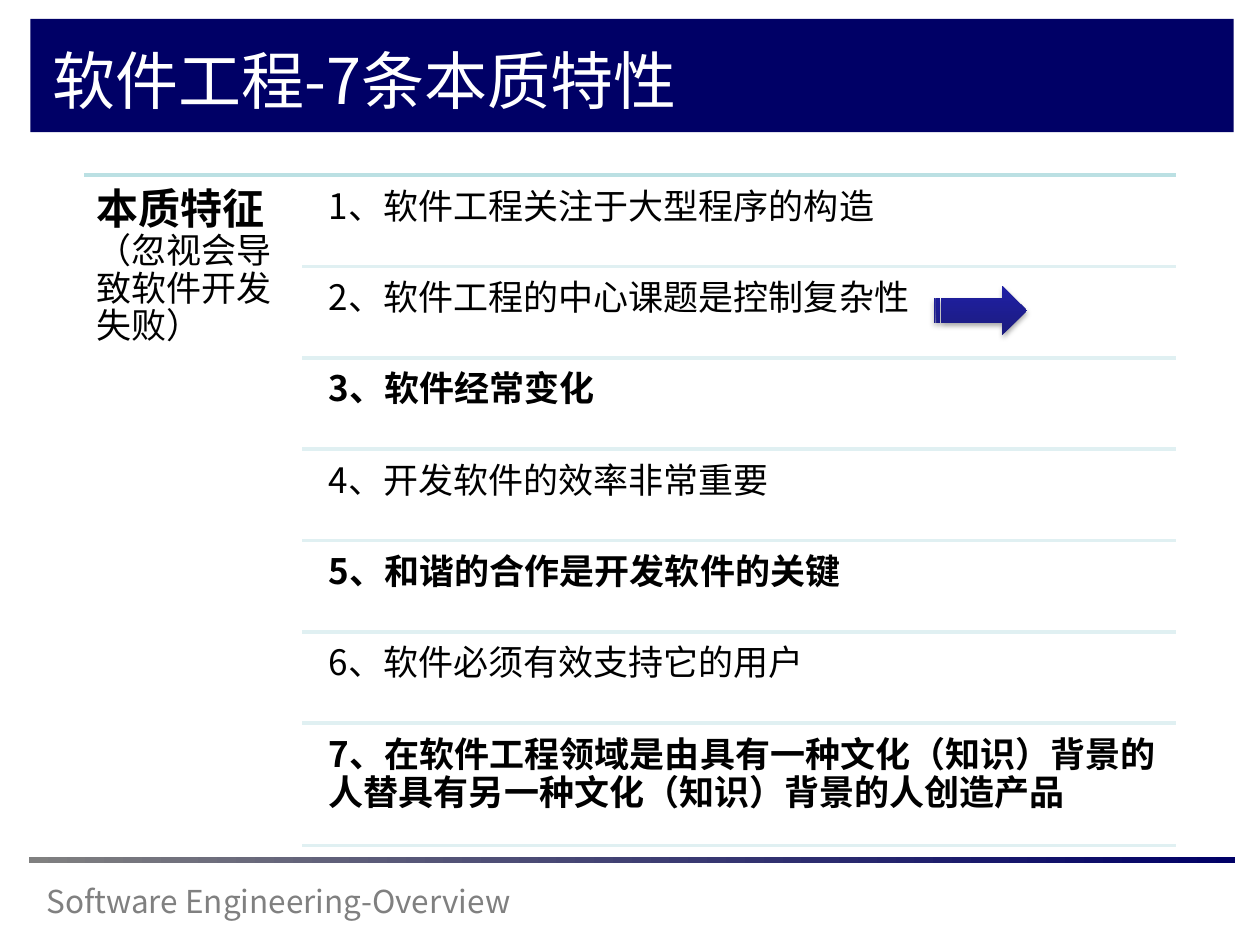
"""Build the slide on the seven essential characteristics of software engineering."""
from lxml import etree
from pptx import Presentation, util as u
from pptx.dml.color import RGBColor
from pptx.enum import shapes, text
from pptx.oxml import ns

COLORS = {
    "navy": "000066", "gray": "808080", "white": "FFFFFF", "black": "000000",
    "teal": "BBE0E3", "pale": "E0F0F2", "arrow_dark": "1B1B7E", "arrow_light": "2020A6",
}
FONT = "Noto Sans CJK SC"
LEFT, RIGHT, TOP = 0.67, 9.33, 1.39
RULE_LEFT, ITEM_LEFT = 2.4, 2.53
ROW, LAST_ROW = 0.725, 0.97
ITEMS = [
    ("1、软件工程关注于大型程序的构造", False),
    ("2、软件工程的中心课题是控制复杂性", False),
    ("3、软件经常变化", True),
    ("4、开发软件的效率非常重要", False),
    ("5、和谐的合作是开发软件的关键", True),
    ("6、软件必须有效支持它的用户", False),
    ("7、在软件工程领域是由具有一种文化（知识）背景的人替具有另一种文化（知识）背景的人创造产品", True),
]

presentation = Presentation()
presentation.slide_width, presentation.slide_height = u.Inches(10), u.Inches(7.5)
slide = presentation.slides.add_slide(presentation.slide_layouts[6])


def add_text(box, runs, color="black", inset=None, spacing=None):
    shape = slide.shapes.add_textbox(*map(u.Inches, box))
    frame = shape.text_frame
    frame.word_wrap = True
    if inset:
        frame.margin_left = frame.margin_right = u.Inches(inset)
        frame.margin_top = frame.margin_bottom = u.Inches(inset)
    paragraph = frame.paragraphs[0]
    if spacing:
        paragraph.line_spacing = spacing
    for words, size, bold in runs:
        run = paragraph.add_run()
        run.text = words
        run.font.size, run.font.bold, run.font.name = u.Pt(size), bold, FONT
        run.font.color.rgb = RGBColor.from_string(COLORS[color])
        etree.SubElement(run.font._element, ns.qn("a:ea"), typeface=FONT)
    return frame


def add_shape(kind, box, colors, angle=0):
    shape = slide.shapes.add_shape(kind, *map(u.Inches, box))
    shape.shadow.inherit = False
    shape.line.fill.background()
    if len(colors) == 1:
        shape.fill.solid()
        shape.fill.fore_color.rgb = RGBColor.from_string(COLORS[colors[0]])
    else:
        shape.fill.gradient()
        shape.fill.gradient_angle = angle
        for stop, color in zip(shape.fill.gradient_stops, colors):
            stop.color.rgb = RGBColor.from_string(COLORS[color])
    return shape


add_shape(shapes.MSO_SHAPE.RECTANGLE, (0.24, 0.15, 9.55, 0.9), ["navy"])
add_text((0.27, 6.95, 5.17, 0.4), [("Software Engineering-Overview", 18, False)], "gray")
add_shape(shapes.MSO_SHAPE.RECTANGLE, (0.23, 6.8, 9.57, 0.05), ["gray", "navy"])
title = add_text((0.32, 0.26, 8.81, 0.74), [("软件工程-7条本质特性", 36, False)], "white")
title.vertical_anchor = text.MSO_ANCHOR.MIDDLE

add_text((LEFT, TOP, RULE_LEFT - LEFT, 5.36),
         [("本质特征", 24, True), ("（忽视会导致软件开发失败）", 20, False)],
         inset=0.1, spacing=0.9)

rules = [(LEFT, TOP, "teal")]
for index, (words, bold) in enumerate(ITEMS):
    top = TOP + index * ROW
    height = LAST_ROW if index == len(ITEMS) - 1 else ROW
    add_text((ITEM_LEFT, top + 0.03, RIGHT - ITEM_LEFT, height - 0.04),
             [(words, 20, bold)], inset=0.08, spacing=0.9)
    rules.append((RULE_LEFT, top + height, "pale"))

for left, top, color in rules:
    rule = slide.shapes.add_connector(
        shapes.MSO_CONNECTOR.STRAIGHT, *map(u.Inches, (left, top, RIGHT, top)))
    rule.line.color.rgb = RGBColor.from_string(COLORS[color])
    rule.line.width = u.Pt(2)
    etree.SubElement(rule._element.spPr, ns.qn("a:effectLst"))

arrow = add_shape(shapes.MSO_SHAPE.STRIPED_RIGHT_ARROW, (7.41, 2.27, 0.74, 0.39),
                  ["arrow_dark", "arrow_light"], angle=90)
effects = arrow._element.spPr.find(ns.qn("a:effectLst"))
shadow = etree.SubElement(effects, ns.qn("a:outerShdw"), blurRad=str(u.Pt(3.1)),
                          dist=str(u.Pt(1.8)), dir="5400000", rotWithShape="0")
shadow_color = etree.SubElement(shadow, ns.qn("a:srgbClr"), val=COLORS["black"])
etree.SubElement(shadow_color, ns.qn("a:alpha"), val="35000")

presentation.save("out.pptx")
